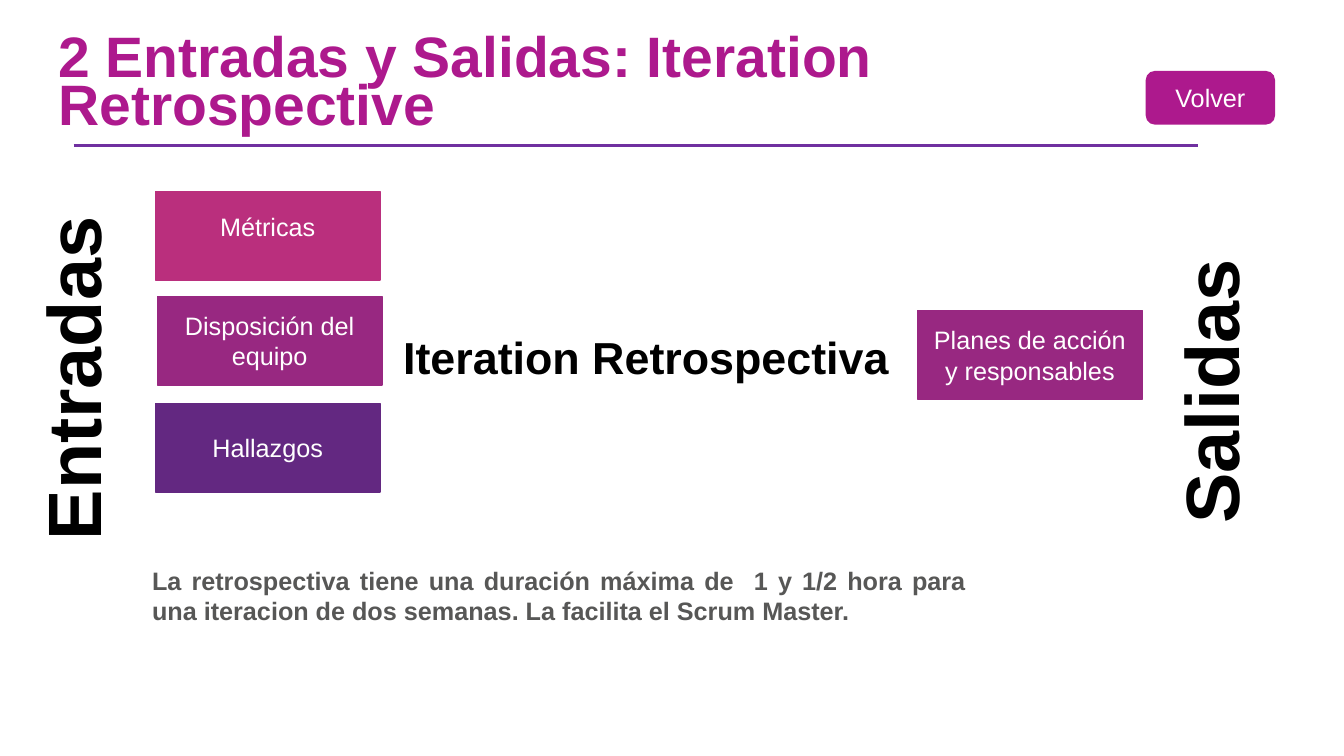
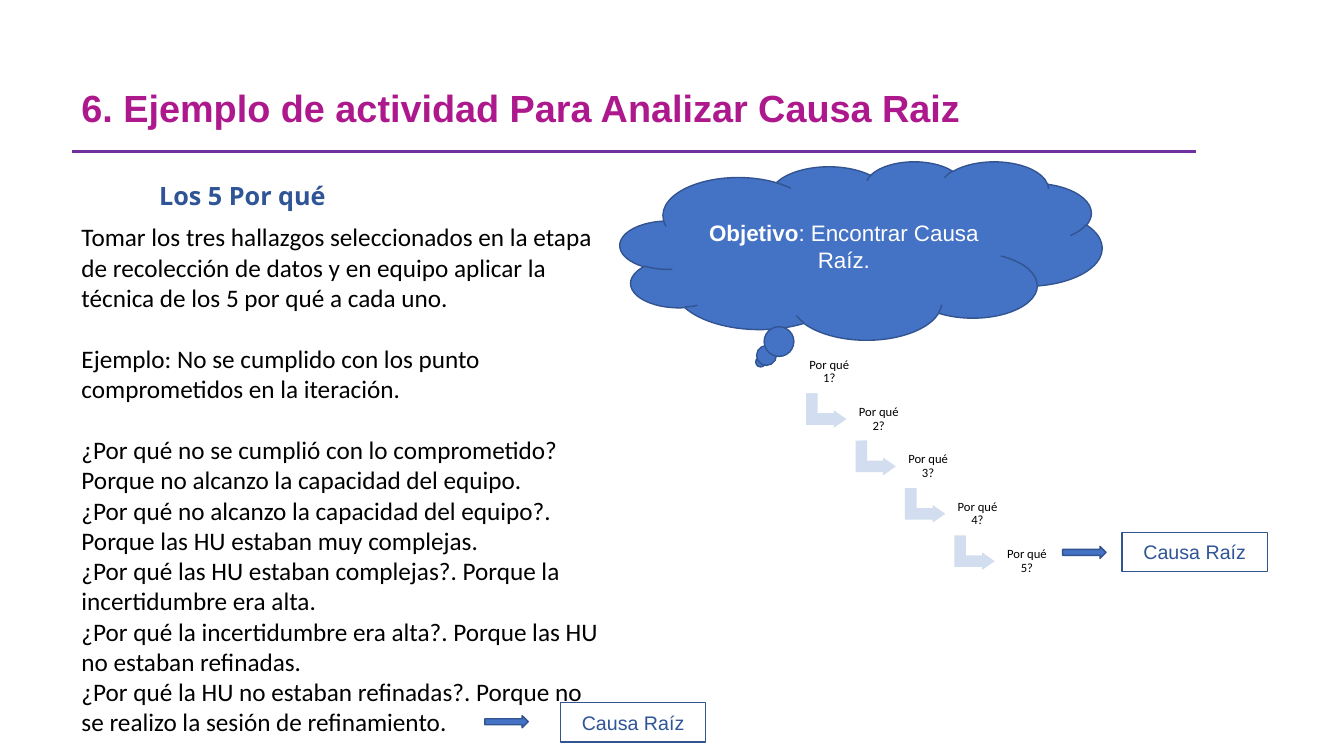
from dataclasses import dataclass

from lxml.etree import SubElement
from pptx import Presentation
from pptx.dml.color import RGBColor
from pptx.enum.shapes import MSO_CONNECTOR, MSO_SHAPE
from pptx.enum.text import MSO_ANCHOR, PP_ALIGN
from pptx.oxml.ns import qn
from pptx.util import Inches, Pt


@dataclass(frozen=True)
class Theme:
    magenta: str = "AD198D"
    rose: str = "BA2F7D"
    plum: str = "982881"
    violet: str = "632881"
    rule: str = "7030A0"
    blue: str = "4472C4"
    blue_edge: str = "325491"
    blue_text: str = "2F5597"
    pale_blue: str = "D2DEEF"
    gray: str = "575756"
    black: str = "000000"
    white: str = "FFFFFF"
    heading_font: str = "Arial"
    body_font: str = "Calibri"
    subtitle_font: str = "Open Sans"
    side_size: float = 54
    long_title_size: float = 40.7
    center_size: float = 32
    title_size: float = 27
    body_size: float = 18
    callout_size: float = 16
    cause_size: float = 14
    step_size: float = 9


THEME = Theme()


class Deck:
    def __init__(self, theme):
        self.theme = theme
        self.presentation = Presentation()
        self.presentation.slide_width = Inches(13.33)
        self.presentation.slide_height = Inches(7.5)
        self.slide = None

    def new_slide(self):
        blank = self.presentation.slide_layouts[6]
        self.slide = self.presentation.slides.add_slide(blank)

    def format_text(self, frame, size, color, font=None, bold=False,
                    align=PP_ALIGN.LEFT, spacing=None):
        for paragraph in frame.paragraphs:
            paragraph.alignment = align
            if spacing:
                paragraph.line_spacing = spacing
            for run in paragraph.runs:
                run.font.size = Pt(size)
                run.font.name = font or self.theme.heading_font
                run.font.bold = bold
                run.font.color.rgb = RGBColor.from_string(color)

    def text(self, text, left, top, width, height, size, color,
             anchor=MSO_ANCHOR.TOP, wrap=True, rotation=0, **style):
        box = self.slide.shapes.add_textbox(
            Inches(left), Inches(top), Inches(width), Inches(height))
        box.rotation = rotation
        frame = box.text_frame
        frame.word_wrap = wrap
        frame.vertical_anchor = anchor
        frame.text = text
        self.format_text(frame, size, color, **style)
        return frame

    def title(self, text, left, top, width, height, size, spacing):
        self.text(text, left, top, width, height, size, self.theme.magenta,
                  anchor=MSO_ANCHOR.MIDDLE, bold=True, spacing=spacing)

    def rule(self, left, top):
        line = self.slide.shapes.add_connector(
            MSO_CONNECTOR.STRAIGHT, Inches(left), Inches(top),
            Inches(left + 11.15), Inches(top))
        line.line.color.rgb = RGBColor.from_string(self.theme.rule)
        line.line.width = Pt(2.25)
        SubElement(line._element.spPr, qn("a:effectLst"))

    def shape(self, kind, left, top, width, height, fill, edge=None):
        shape = self.slide.shapes.add_shape(
            kind, Inches(left), Inches(top), Inches(width), Inches(height))
        shape.shadow.inherit = False
        shape.fill.solid()
        shape.fill.fore_color.rgb = RGBColor.from_string(fill)
        if edge:
            shape.line.color.rgb = RGBColor.from_string(edge)
            shape.line.width = Pt(1)
        else:
            shape.line.fill.background()
        return shape

    def label(self, shape, text, size, color, **style):
        frame = shape.text_frame
        frame.word_wrap = True
        frame.vertical_anchor = MSO_ANCHOR.MIDDLE
        frame.text = text
        self.format_text(frame, size, color, align=PP_ALIGN.CENTER, **style)
        return frame

    def block(self, text, left, top, fill, width=2.23, height=0.88,
              kind=MSO_SHAPE.RECTANGLE):
        shape = self.shape(kind, left, top, width, height, fill, fill)
        return self.label(shape, text, self.theme.body_size, self.theme.white)

    def side_heading(self, text, left, top, width):
        self.text(text, left, top, width, 1.01, self.theme.side_size,
                  self.theme.black, wrap=False, rotation=270, bold=True,
                  align=PP_ALIGN.CENTER)

    def callout(self, lead, rest, left, top, width, height):
        cloud = self.shape(MSO_SHAPE.CLOUD_CALLOUT, left, top, width, height,
                           self.theme.blue, self.theme.blue_edge)
        paragraph = cloud.text_frame.paragraphs[0]
        for part in (lead, rest):
            paragraph.add_run().text = part
        cloud.text_frame.word_wrap = True
        cloud.text_frame.vertical_anchor = MSO_ANCHOR.MIDDLE
        self.format_text(cloud.text_frame, self.theme.callout_size,
                         self.theme.white, align=PP_ALIGN.CENTER)
        paragraph.runs[0].font.bold = True

    def step(self, text, left, top):
        card = self.shape(MSO_SHAPE.ROUNDED_RECTANGLE, left, top, 0.59, 0.42,
                          self.theme.white)
        card.adjustments[0] = 0.167
        frame = self.label(card, text, self.theme.step_size, self.theme.black,
                           font=self.theme.body_font, spacing=0.9)
        frame.margin_left = frame.margin_right = Inches(0.04)
        frame.margin_top = frame.margin_bottom = Inches(0.04)

    def step_arrow(self, left, top):
        arrow = self.shape(MSO_SHAPE.BENT_UP_ARROW, left, top, 0.35, 0.4,
                           self.theme.pale_blue)
        arrow.rotation = 90
        for index, value in enumerate((0.328, 0.25, 0.358)):
            arrow.adjustments[index] = value

    def root_cause(self, arrow_left, arrow_top, box_left, box_top):
        self.shape(MSO_SHAPE.RIGHT_ARROW, arrow_left, arrow_top, 0.43, 0.12,
                   self.theme.blue, self.theme.blue_edge)
        box = self.shape(MSO_SHAPE.RECTANGLE, box_left, box_top, 1.44, 0.39,
                         self.theme.white, self.theme.blue_edge)
        self.label(box, "Causa Raíz", self.theme.cause_size,
                   self.theme.blue_text)


def build_inputs_outputs(deck):
    theme = deck.theme
    deck.new_slide()
    deck.rule(0.73, 1.44)
    deck.title("2 Entradas y Salidas: Iteration Retrospective",
               0.48, 0.31, 8.3, 1.11, theme.long_title_size, 0.7)
    deck.block("Volver", 11.37, 0.71, theme.magenta, 1.27, 0.52,
               MSO_SHAPE.ROUNDED_RECTANGLE)

    metrics = deck.block("Métricas", 1.54, 1.9, theme.rose)
    metrics.margin_bottom = Inches(0.23)
    deck.block("Disposición del equipo", 1.56, 2.94, theme.plum)
    deck.block("Hallazgos", 1.54, 4, theme.violet)
    deck.block("Planes de acción y responsables", 9.1, 3.08, theme.plum)

    deck.text("Iteration Retrospectiva", 3.88, 3.22, 5.06, 0.64,
              theme.center_size, theme.black, wrap=False, bold=True,
              align=PP_ALIGN.CENTER)
    deck.side_heading("Entradas", -1.01, 3.25, 3.44)
    deck.side_heading("Salidas", 10.57, 3.38, 2.85)
    deck.text("La retrospectiva tiene una duración máxima de  1 y 1/2 hora "
              "para una iteracion de dos semanas. La facilita el Scrum Master.",
              1.41, 5.56, 8.27, 0.71, theme.body_size, theme.gray, bold=True,
              align=PP_ALIGN.JUSTIFY)


def build_five_whys(deck):
    theme = deck.theme
    deck.new_slide()
    deck.title("6. Ejemplo de actividad Para Analizar Causa Raiz",
               0.71, 0.79, 10.33, 0.61, theme.title_size, 0.9)
    deck.rule(0.71, 1.5)
    deck.text("Los 5 Por qué", 1.48, 1.74, 6.67, 0.4, theme.body_size,
              theme.blue_text, font=theme.subtitle_font, bold=True)
    deck.callout("Objetivo", ": Encontrar Causa Raíz.", 6.15, 1.6, 4.78, 1.77)

    explanation = (
        "Tomar los tres hallazgos seleccionados en la etapa de recolección de "
        "datos y en equipo aplicar la técnica de los 5 por qué a cada uno.",
        "Ejemplo: No se cumplido con los punto comprometidos en la iteración.",
        "¿Por qué no se cumplió con lo comprometido? Porque no alcanzo la "
        "capacidad del equipo.",
        "¿Por qué no alcanzo la capacidad del equipo?. Porque las HU estaban "
        "muy complejas.",
        "¿Por qué las HU estaban complejas?. Porque la incertidumbre era alta.",
        "¿Por qué la incertidumbre era alta?. Porque las HU no estaban "
        "refinadas.",
        "¿Por qué la HU no estaban refinadas?. Porque no se realizo la sesión "
        "de refinamiento.",
    )
    body = deck.text("\n".join(explanation), 0.71, 2.15, 5.35, 5.6,
                     theme.body_size, theme.black, font=theme.body_font)
    for paragraph in body.paragraphs[1:3]:
        paragraph.space_before = Pt(22)

    step_count = 5
    for index in range(step_count):
        across, down = 0.49 * index, 0.47 * index
        if index < step_count - 1:
            deck.step_arrow(8.02 + across, 3.87 + down)
        deck.step(f"Por qué {index + 1}?", 7.93 + across, 3.48 + down)

    deck.root_cause(10.54, 5.42, 11.13, 5.28)
    deck.root_cause(4.81, 7.1, 5.56, 6.97)


def main():
    deck = Deck(THEME)
    build_inputs_outputs(deck)
    build_five_whys(deck)
    deck.presentation.save("out.pptx")


if __name__ == "__main__":
    main()
